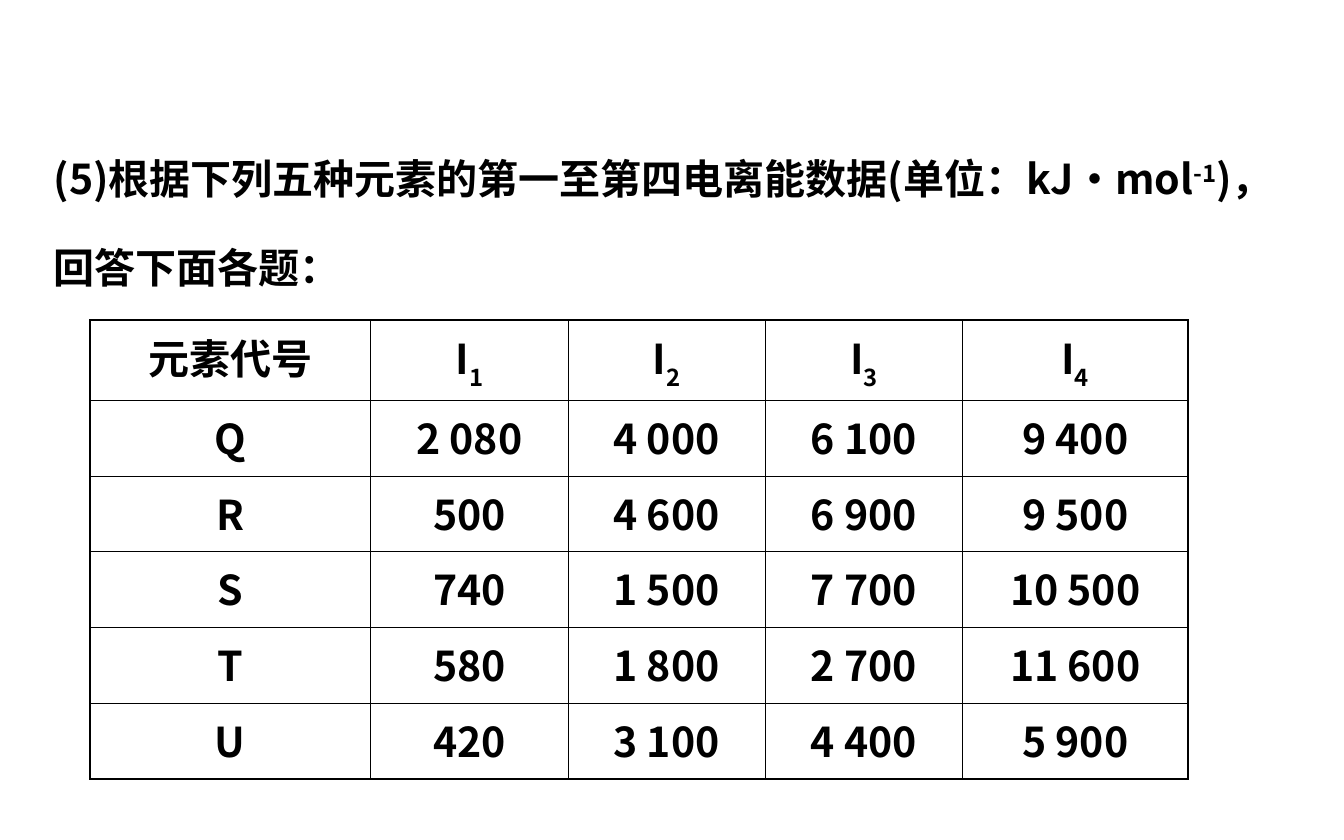
from lxml import etree
from pptx import Presentation
from pptx import util as u
from pptx.dml import color
from pptx.enum import text
from pptx.oxml import ns

COLORS = {"ink": "000000"}
SUPERSCRIPT, SUBSCRIPT = 30000, -30000


class SlideBuilder:
    font_name = "Noto Sans CJK SC"
    font_size = 22
    inner_line, outer_line = 0.45, 0.96

    def __init__(self, slide):
        self.slide = slide

    def add_runs(self, paragraph, runs, alignment):
        """Fill a paragraph with (wording, baseline) runs."""
        paragraph.alignment = alignment
        for wording, baseline in runs:
            run = paragraph.add_run()
            run.text = wording
            run.font.name = self.font_name
            run.font.size = u.Pt(self.font_size)
            run.font.bold = True
            run.font.color.rgb = color.RGBColor.from_string(COLORS["ink"])
            properties = run._r.get_or_add_rPr()
            etree.SubElement(properties, ns.qn("a:ea"), typeface=self.font_name)
            if baseline:
                properties.set("baseline", str(baseline))

    def title(self, left, top, width, height, runs):
        shape = self.slide.shapes.title
        shape.left, shape.top = u.Pt(left), u.Pt(top)
        shape.width, shape.height = u.Pt(width), u.Pt(height)
        frame = shape.text_frame
        frame.word_wrap = True
        frame.auto_size = text.MSO_AUTO_SIZE.NONE
        frame.vertical_anchor = text.MSO_ANCHOR.TOP
        paragraph = frame.paragraphs[0]
        self.add_runs(paragraph, runs, text.PP_ALIGN.LEFT)
        paragraph.line_spacing = 1.8
        paragraph.space_before = u.Pt(0)

    def border(self, cell, side, width):
        line = etree.SubElement(cell._tc.get_or_add_tcPr(), ns.qn(f"a:ln{side}"),
                                w=str(u.Pt(width)))
        fill = etree.SubElement(line, ns.qn("a:solidFill"))
        etree.SubElement(fill, ns.qn("a:srgbClr"), val=COLORS["ink"])

    def table(self, left, top, column_widths, row_height, rows):
        last_row, last_column = len(rows) - 1, len(column_widths) - 1
        table = self.slide.shapes.add_table(
            len(rows), len(column_widths), u.Pt(left), u.Pt(top),
            u.Pt(sum(column_widths)), u.Pt(row_height * len(rows))).table
        table.horz_banding = False
        for column, width in zip(table.columns, column_widths):
            column.width = u.Pt(width)
        for r, row in enumerate(rows):
            table.rows[r].height = u.Pt(row_height)
            for c, runs in enumerate(row):
                cell = table.cell(r, c)
                self.add_runs(cell.text_frame.paragraphs[0], runs, text.PP_ALIGN.CENTER)
                outer_sides = {"L": c == 0, "R": c == last_column,
                               "T": r == 0, "B": r == last_row}
                for side, is_outer in outer_sides.items():
                    self.border(cell, side, self.outer_line if is_outer else self.inner_line)
                cell.fill.background()


def main():
    presentation = Presentation()
    presentation.slide_width, presentation.slide_height = u.Pt(720), u.Pt(450)
    builder = SlideBuilder(presentation.slides.add_slide(presentation.slide_layouts[5]))

    # Question
    builder.title(21.6, 57.6, 679, 102.2, [
        ("(5)根据下列五种元素的第一至第四电离能数据(单位：kJ·mol", 0),
        ("-1", SUPERSCRIPT),
        (")，回答下面各题：", 0),
    ])

    # Ionization energies of the five elements
    energies = {
        "Q": ["2 080", "4 000", "6 100", "9 400"],
        "R": ["500", "4 600", "6 900", "9 500"],
        "S": ["740", "1 500", "7 700", "10 500"],
        "T": ["580", "1 800", "2 700", "11 600"],
        "U": ["420", "3 100", "4 400", "5 900"],
    }
    header = [[("元素代号", 0)]] + [[("I", 0), (str(n), SUBSCRIPT)] for n in range(1, 5)]
    body = [[[(value, 0)] for value in [element, *values]]
            for element, values in energies.items()]
    builder.table(48.2, 171.5, [150.4, 105.7, 105.7, 105.7, 120.8], 40.6, [header, *body])

    presentation.save("out.pptx")


if __name__ == "__main__":
    main()
